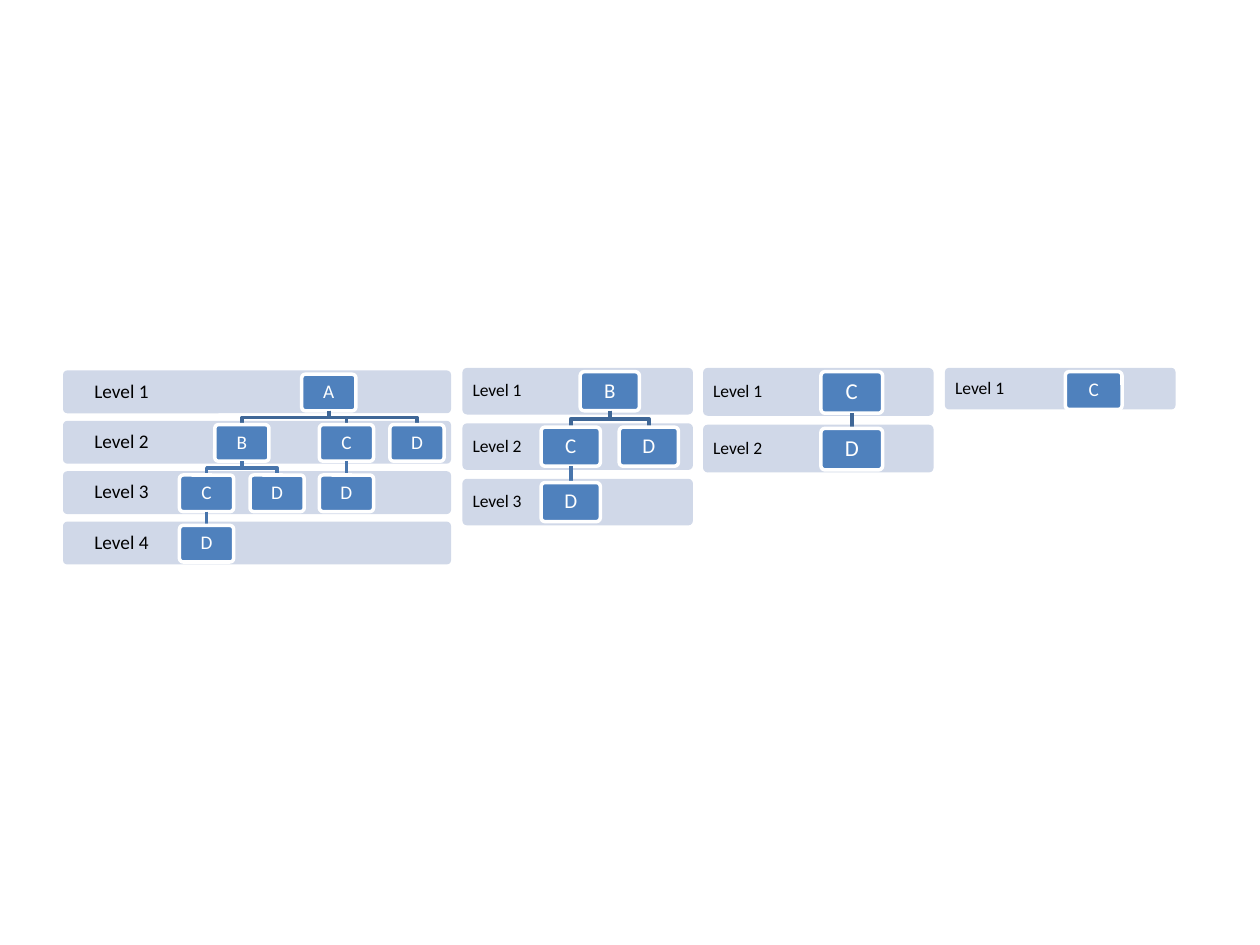
from pptx import Presentation
from pptx.dml.color import RGBColor
from pptx.enum.shapes import MSO_CONNECTOR as Line, MSO_SHAPE as Shape
from pptx.enum.text import MSO_ANCHOR as Anchor, PP_ALIGN as Align
from pptx.util import Inches, Pt
from lxml.etree import SubElement
from pptx.oxml.ns import qn

COLORS = {"band": "D0D8E8", "node": "4F81BD", "edge": "FFFFFF",
          "dark": "000000", "top": "3F6797", "low": "4875AC"}
INSET = 0.03

# Each node is (name, centre from the left of its chart, children).
TREES = [
    dict(box=(0.5, 2.94, 3.08, 0.34), step=0.4, levels=4,
         label=(0.93, 11, 0.09), node=(0.43, 0.29, 11),
         root=("A", 2.11, [
             ("B", 1.42, [("C", 1.14, [("D", 1.14, [])]), ("D", 1.7, [])]),
             ("C", 2.25, [("D", 2.25, [])]),
             ("D", 2.81, [])])),
    dict(box=(3.67, 2.92, 1.83, 0.37), step=0.44, levels=3,
         label=(0.55, 10, 0.08), node=(0.47, 0.31, 12),
         root=("B", 1.17, [("C", 0.86, [("D", 0.86, [])]), ("D", 1.48, [])])),
    dict(box=(5.58, 2.92, 1.83, 0.38), step=0.45, levels=2,
         label=(0.55, 10, 0.08), node=(0.49, 0.33, 13),
         root=("C", 1.18, [("D", 1.18, [])])),
    dict(box=(7.5, 2.92, 1.83, 0.33), step=0.4, levels=1,
         label=(0.55, 10, 0.08), node=(0.45, 0.3, 11),
         root=("C", 1.18, [])),
]


def color(name):
    """Return the named colour."""
    return RGBColor.from_string(COLORS[name])


def write(shape, text, size, tint, pad):
    """Set centred text in a shape."""
    frame = shape.text_frame
    frame.word_wrap = True
    frame.vertical_anchor = Anchor.MIDDLE
    frame.margin_left = frame.margin_right = Inches(pad)
    frame.margin_top = frame.margin_bottom = Inches(pad)
    frame.text = text
    para = frame.paragraphs[0]
    para.alignment = Align.CENTER
    para.line_spacing = 0.9
    font = para.runs[0].font
    font.name, font.size = "Calibri", Pt(size)
    font.color.rgb = color(tint)


def add_block(slide, box, fill):
    """Add a plain rounded block."""
    block = slide.shapes.add_shape(Shape.ROUNDED_RECTANGLE, *map(Inches, box))
    block.adjustments[0] = 0.1
    block.shadow.inherit = False
    block.fill.solid()
    block.fill.fore_color.rgb = color(fill)
    block.line.fill.background()
    return block


def add_band(slide, box, text, label):
    """Add one level band with its label."""
    left, top, _, high = box
    wide, size, pad = label
    add_block(slide, box, "band")
    note = slide.shapes.add_textbox(*map(Inches, (left, top, wide, high)))
    write(note, text, size, "dark", pad)


def add_link(slide, start, end, tint):
    """Link a parent to a child, with an elbow if they are not in line."""
    (x, y), (to_x, to_y) = start, end
    if x == to_x:
        link = slide.shapes.add_connector(
            Line.STRAIGHT, *map(Inches, (x, y, to_x, to_y)))
        SubElement(link._element.spPr, qn("a:effectLst"))
    else:
        mid = (y + to_y) / 2
        path = slide.shapes.build_freeform(Inches(x), Inches(y))
        turns = [(x, mid), (to_x, mid), end]
        path.add_line_segments(
            [(Inches(a), Inches(b)) for a, b in turns], close=False)
        link = path.convert_to_shape()
        link.fill.background()
        link.shadow.inherit = False
    link.line.color.rgb = color(tint)
    link.line.width = Pt(2)


def add_node(slide, tree, node, depth=0):
    """Add a node, then its links and child nodes."""
    name, mid, kids = node
    left, top = tree["box"][:2]
    wide, high, size = tree["node"]
    x, y = left + mid, top + depth * tree["step"] + INSET
    block = add_block(slide, (x - wide / 2, y, wide, high), "node")
    block.line.color.rgb = color("edge")
    block.line.width = Pt(2)
    write(block, name, size, "edge", 0.05)
    for kid in kids:
        add_link(slide, (x, y + high), (left + kid[1], y + tree["step"]),
                 "low" if depth else "top")
        add_node(slide, tree, kid, depth + 1)


def add_tree(slide, tree):
    """Add a level chart with its bands and nodes."""
    left, top, wide, high = tree["box"]
    for row in reversed(range(tree["levels"])):
        box = (left, top + row * tree["step"], wide, high)
        add_band(slide, box, f"Level {row + 1}", tree["label"])
    add_node(slide, tree, tree["root"])


def main():
    """Build and save the slide."""
    deck = Presentation()
    deck.slide_width, deck.slide_height = Inches(10), Inches(7.5)
    slide = deck.slides.add_slide(deck.slide_layouts[6])
    for tree in TREES:
        add_tree(slide, tree)
    deck.save("out.pptx")


if __name__ == "__main__":
    main()
